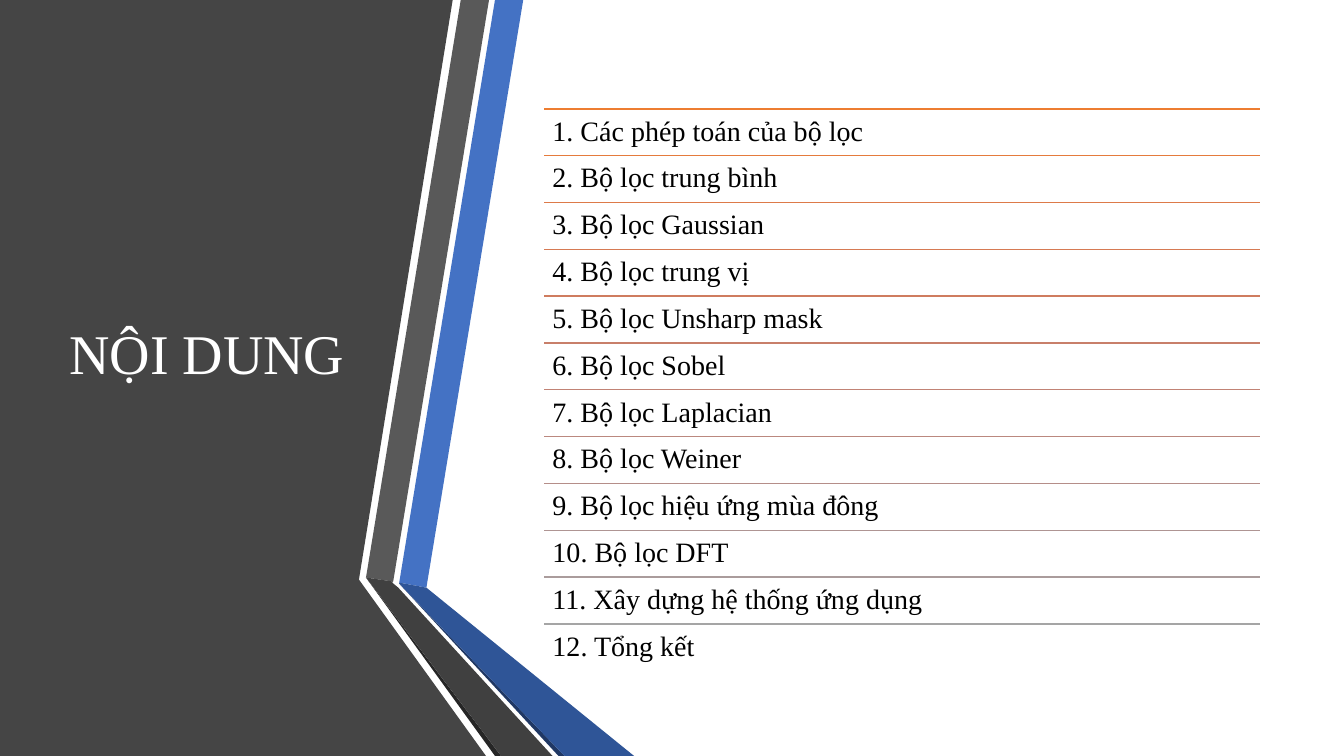
"""Build the contents slide: a folded ribbon beside a ruled list of topics."""
from lxml.etree import SubElement
from pptx import Presentation
from pptx.dml.color import RGBColor
from pptx.enum.shapes import MSO_CONNECTOR
from pptx.enum.text import MSO_ANCHOR
from pptx.oxml.ns import qn
from pptx.util import Inches, Pt

TITLE = "NỘI DUNG"
TOPICS = [
    ("Các phép toán của bộ lọc", RGBColor(0xED, 0x7D, 0x31)),
    ("Bộ lọc trung bình", RGBColor(0xE5, 0x7B, 0x3D)),
    ("Bộ lọc Gaussian", RGBColor(0xDD, 0x7A, 0x49)),
    ("Bộ lọc trung vị", RGBColor(0xD6, 0x7A, 0x54)),
    ("Bộ lọc Unsharp mask", RGBColor(0xCF, 0x7C, 0x5F)),
    ("Bộ lọc Sobel", RGBColor(0xC8, 0x7F, 0x6A)),
    ("Bộ lọc Laplacian", RGBColor(0xC1, 0x83, 0x75)),
    ("Bộ lọc Weiner", RGBColor(0xBB, 0x88, 0x7F)),
    ("Bộ lọc hiệu ứng mùa đông", RGBColor(0xB5, 0x8E, 0x89)),
    ("Bộ lọc DFT", RGBColor(0xAF, 0x95, 0x93)),
    ("Xây dựng hệ thống ứng dụng", RGBColor(0xAA, 0x9C, 0x9C)),
    ("Tổng kết", RGBColor(0xA5, 0xA5, 0xA5)),
]

WHITE = RGBColor(0xFF, 0xFF, 0xFF)
BLACK = RGBColor(0x00, 0x00, 0x00)
CHARCOAL = RGBColor(0x45, 0x45, 0x45)
BLUE = RGBColor(0x44, 0x72, 0xC4)
GRAY = RGBColor(0x59, 0x59, 0x59)
SHADE_GRAY = RGBColor(0x26, 0x26, 0x26)
SHADE_BLUE = RGBColor(0x20, 0x38, 0x64)
FOLD_BLUE = RGBColor(0x2F, 0x55, 0x97)
FOLD_GRAY = RGBColor(0x40, 0x40, 0x40)
FONT = "Times New Roman"

W, H = 13.33, 7.5
PANEL = [(0, 0), (3.53, 0), (4.49, 0), (3.56, 5.75), (4.82, H), (0, H)]
RIBBONS = [
    (BLUE, [(3.96, 5.78), (4.23, 5.83), (5.19, 0), (4.91, 0)]),
    (GRAY, [(4.85, 0), (4.57, 0), (3.63, 5.73), (3.9, 5.77)]),
    (SHADE_GRAY, [(3.63, 5.73), (4.91, H), (4.97, H)]),
    (SHADE_BLUE, [(3.96, 5.79), (5.54, H), (5.6, H)]),
    (FOLD_BLUE, [(3.96, 5.79), (5.6, H), (6.29, H), (4.23, 5.83), (3.96, 5.78)]),
    (FOLD_GRAY, [(5.48, H), (3.95, 5.83), (3.89, 5.78), (3.9, 5.77),
                 (3.63, 5.73), (4.97, H)]),
]
TITLE_BOX = (0.59, 0.75, 3.04, 5.58)
LIST_LEFT, LIST_RIGHT = 5.4, 12.5
LIST_TOP, LAST_ROW = 1.08, 6.19
ROW_H = (LAST_ROW - LIST_TOP) / (len(TOPICS) - 1)


def add_polygon(shapes, points, color):
    start, *rest = [(Inches(x), Inches(y)) for x, y in points]
    fb = shapes.build_freeform(*start)
    fb.add_line_segments(rest, close=True)
    sp = fb.convert_to_shape()
    sp.shadow.inherit = False
    sp.fill.solid()
    sp.fill.fore_color.rgb = color
    sp.line.fill.background()


def add_text(shapes, box, text, size, color, inset, anchor):
    tf = shapes.add_textbox(*map(Inches, box)).text_frame
    tf.word_wrap = True
    tf.vertical_anchor = anchor
    tf.margin_left = tf.margin_right = Inches(inset)
    tf.margin_top = tf.margin_bottom = Inches(inset)
    p = tf.paragraphs[0]
    p.line_spacing = 0.9
    r = p.add_run()
    r.text = text
    r.font.size = Pt(size)
    r.font.name = FONT
    r.font.color.rgb = color


def add_rule(shapes, y, color):
    ln = shapes.add_connector(MSO_CONNECTOR.STRAIGHT, Inches(LIST_LEFT), Inches(y),
                              Inches(LIST_RIGHT), Inches(y))
    ln.line.color.rgb = color
    ln.line.width = Pt(1)
    SubElement(ln._element.spPr, qn("a:effectLst"))


def main():
    prs = Presentation()
    prs.slide_width, prs.slide_height = Inches(W), Inches(H)
    s = prs.slides.add_slide(prs.slide_layouts[6])
    s.background.fill.solid()
    s.background.fill.fore_color.rgb = WHITE

    add_polygon(s.shapes, PANEL, CHARCOAL)
    ribbon = s.shapes.add_group_shape().shapes
    for color, points in RIBBONS:
        add_polygon(ribbon, points, color)
    add_text(s.shapes, TITLE_BOX, TITLE, 40, WHITE, 0.1, MSO_ANCHOR.MIDDLE)

    topics = s.shapes.add_group_shape().shapes
    for i, (topic, color) in enumerate(TOPICS):
        y = LIST_TOP + i * ROW_H
        add_rule(topics, y, color)
        add_text(topics, (LIST_LEFT, y, LIST_RIGHT - LIST_LEFT, ROW_H),
                 f"{i + 1}. {topic}", 20, BLACK, 0.08, MSO_ANCHOR.TOP)
    prs.save("out.pptx")


if __name__ == "__main__":
    main()
